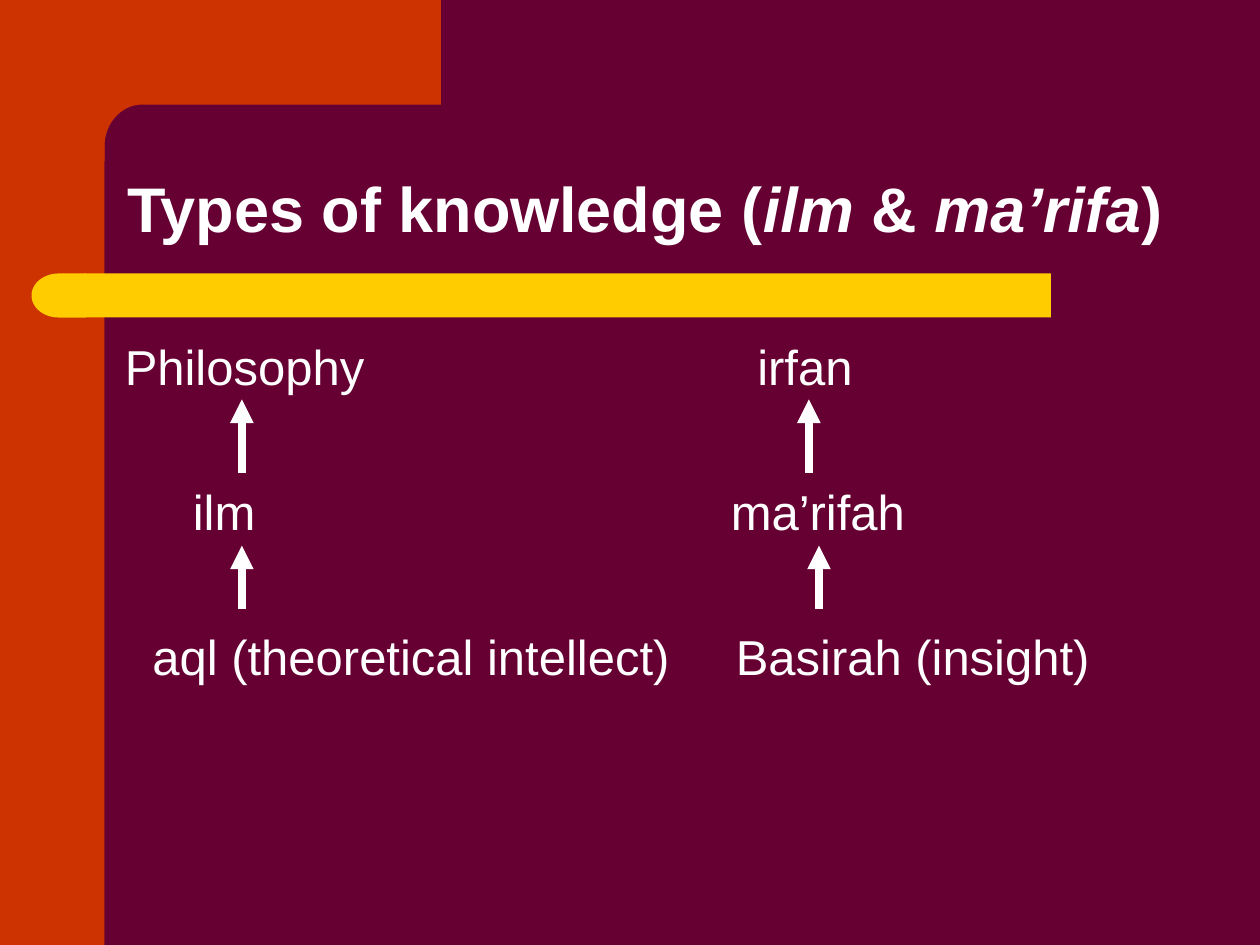
import math
from dataclasses import dataclass

import pptx
import pptx.dml.color
import pptx.enum.shapes
import pptx.enum.text
import pptx.oxml
import pptx.oxml.ns
import pptx.util
from pptx.util import Inches

SHAPE = pptx.enum.shapes.MSO_SHAPE
ANCHOR = pptx.enum.text.MSO_ANCHOR


@dataclass(frozen=True)
class Theme:
    background: str = "660033"
    frame: str = "CC3300"
    bar: str = "FFCC00"
    text: str = "FFFFFF"
    font: str = "Arial"
    title_size: int = 36
    body_size: int = 28
    arrow_width: float = 4.5


def rgb(value):
    return pptx.dml.color.RGBColor.from_string(value)


def add_run(p, text, *, font, size, color, bold=False, italic=False):
    r = p.add_run()
    r.text = text
    r.font.name, r.font.size = font, pptx.util.Pt(size)
    r.font.bold, r.font.italic = bold, italic
    r.font.color.rgb = rgb(color)


def add_xml(parent, tag, **attributes):
    child = pptx.oxml.parse_xml(f"<a:{tag} {pptx.oxml.ns.nsdecls('a')}/>")
    for name, value in attributes.items():
        child.set(name, str(value))
    parent.append(child)
    return child


class SlideBuilder:
    def __init__(self, s, theme):
        self.s, self.theme = s, theme
        s.background.fill.solid()
        s.background.fill.fore_color.rgb = rgb(theme.background)

    def paint(self, sp, color):
        sp.shadow.inherit = False
        sp.fill.solid()
        sp.fill.fore_color.rgb = rgb(color)
        sp.line.fill.background()
        return sp

    def shape(self, kind, box, color):
        sp = self.s.shapes.add_shape(kind, *map(Inches, box))
        return self.paint(sp, color)

    def outline(self, points, color):
        start, *rest = [(Inches(x), Inches(y)) for x, y in points]
        builder = self.s.shapes.build_freeform(*start)
        builder.add_line_segments(rest, close=True)
        return self.paint(builder.convert_to_shape(), color)

    def text_box(self, box, anchor=ANCHOR.TOP, left_inset=0.1):
        tf = self.s.shapes.add_textbox(*map(Inches, box)).text_frame
        tf.word_wrap = True
        tf.vertical_anchor = anchor
        tf.margin_left = Inches(left_inset)
        return tf

    def title(self, box, parts):
        t = self.theme
        p = self.text_box(box, ANCHOR.BOTTOM).paragraphs[0]
        p.line_spacing = 0.9
        for text, italic in parts:
            add_run(p, text, font=t.font, size=t.title_size, color=t.text,
                    bold=True, italic=italic)

    def rows(self, box, rows, gap):
        t = self.theme
        tf = self.text_box(box, left_inset=0.07)
        for i, (text, stops) in enumerate(rows):
            p = tf.paragraphs[0] if i == 0 else tf.add_paragraph()
            if i:
                p.space_before = pptx.util.Pt(gap)
            tabs = add_xml(p._p.get_or_add_pPr(), "tabLst")
            for stop in stops:
                add_xml(tabs, "tab", pos=Inches(stop), algn="l")
            add_run(p, text, font=t.font, size=t.body_size, color=t.text)

    def up_arrow(self, x, bottom, top):
        sp = self.s.shapes.add_connector(
            pptx.enum.shapes.MSO_CONNECTOR.STRAIGHT,
            *map(Inches, (x, bottom, x, top)))
        sp.line.color.rgb = rgb(self.theme.text)
        sp.line.width = pptx.util.Pt(self.theme.arrow_width)
        add_xml(sp.line._get_or_add_ln(), "tailEnd", type="triangle")
        add_xml(sp._element.spPr, "effectLst")


def main():
    prs = pptx.Presentation()
    prs.slide_width, prs.slide_height = Inches(10), Inches(7.5)
    theme = Theme()
    slide = SlideBuilder(prs.slides.add_slide(prs.slide_layouts[6]), theme)

    # Frame on the left, with a rounded inner corner
    slide.shape(SHAPE.RECTANGLE, (0, 0, 0.83, 7.5), theme.frame)
    angles = [math.radians(a) for a in range(0, 91, 5)]
    corner = [(1.13 - 0.3 * math.sin(a), 1.16 - 0.33 * math.cos(a))
              for a in angles]
    slide.outline([(0.5, 0), (3.5, 0), (3.5, 0.83), *corner,
                   (0.83, 1.28), (0.5, 1.28)], theme.frame)

    # Bar with a rounded left end
    slide.shape(SHAPE.RECTANGLE, (0.67, 2.17, 7.67, 0.35), theme.bar)
    cap = slide.shape(SHAPE.FLOWCHART_DELAY, (0.25, 2.17, 0.43, 0.35),
                      theme.bar)
    cap.rotation = 180

    # Title
    slide.title((0.91, 0.91, 8.51, 1.09), [
        ("Types of knowledge (", False), ("ilm", True), (" & ", False),
        ("ma’rifa", True), (")", False)])

    # Two columns of terms, aligned with tab stops
    slide.rows((0.92, 2.62, 8.41, 4.03), [
        ("Philosophy\tirfan", [5.02]),
        ("\tilm\tma’rifah", [0.54, 4.81]),
        ("\taql (theoretical intellect)\tBasirah (insight)", [0.22, 4.85]),
    ], gap=49.2)

    # Arrows from each term to the one above
    for bottom, top, columns in [(3.75, 3.17, (1.92, 6.42)),
                                 (4.83, 4.33, (1.92, 6.5))]:
        for x in columns:
            slide.up_arrow(x, bottom, top)

    prs.save("out.pptx")


if __name__ == "__main__":
    main()
